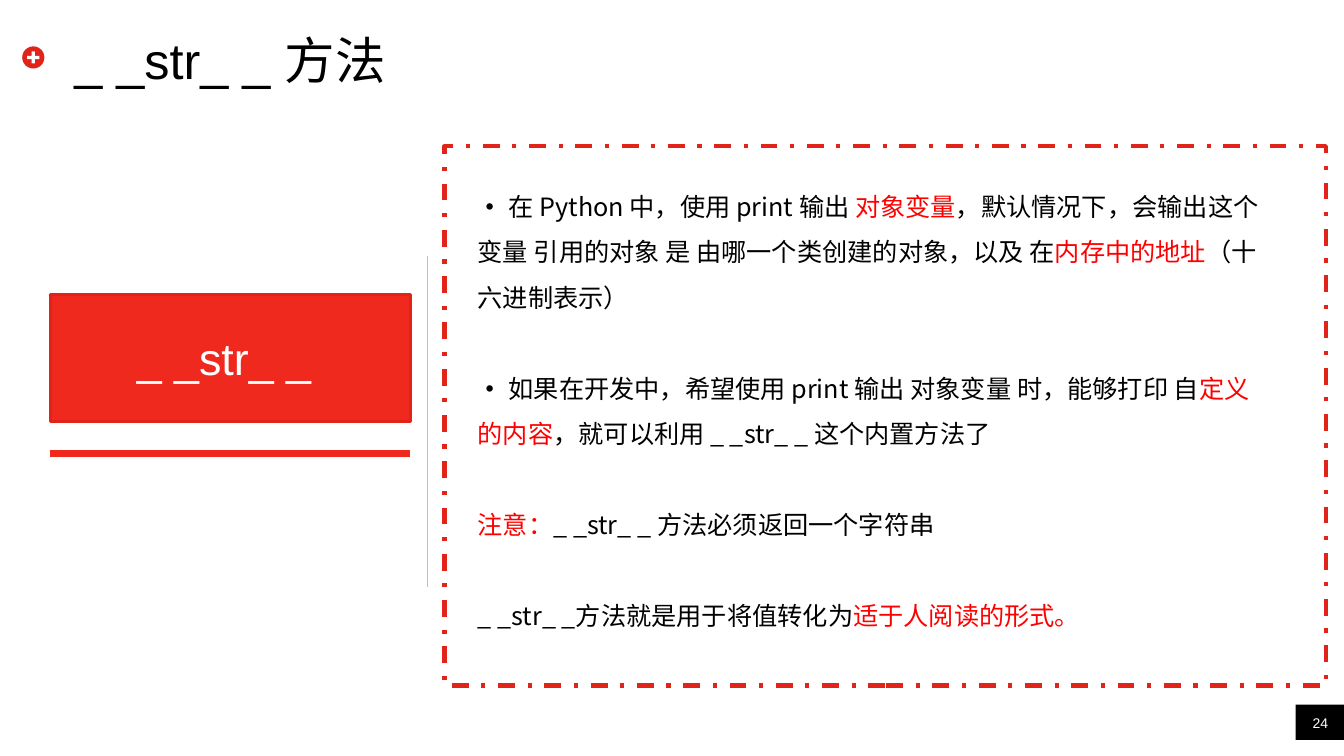
from pptx import Presentation
from pptx.dml.color import RGBColor
from pptx.enum.dml import MSO_LINE_DASH_STYLE as Dash
from pptx.enum.shapes import MSO_CONNECTOR as Connector, MSO_SHAPE as Preset
from pptx.enum.text import MSO_ANCHOR as Anchor, PP_ALIGN as Align
from pptx.oxml.ns import qn
from pptx.util import Inches, Pt

COLORS = {
    "black": "000000",
    "white": "FFFFFF",
    "accent": "E2231A",
    "banner": "F0291F",
    "highlight": "FF0000",
    "divider": "C4BEB6",
}
LATIN, CHINESE = "Arial", "Noto Sans CJK SC"

# Each paragraph is a list of (text, format) runs.
BULLET = ("· ", {"bold": True})
RED = {"color": "highlight"}
EXPLANATION = [
    [
        BULLET,
        ("在 Python 中，使用 print 输出", {}),
        (" 对象变量", RED),
        ("，默认情况下，会输出这个变量 引用的对象 是 由哪一个类创建的对象，以及 在", {}),
        ("内存中的地址", RED),
        ("（十六进制表示）", {}),
    ],
    [
        BULLET,
        ("如果在开发中，希望使用 print 输出 对象变量 时，能够打印 自", {}),
        ("定义的内容", RED),
        ("，就可以利用 _ _str_ _ 这个内置方法了", {}),
    ],
    [("注意：", RED), ("_ _str_ _ 方法必须返回一个字符串", {})],
    [("_ _str_ _方法就是用于将值转化为", {}), ("适于人阅读的形式。", RED)],
]


def rgb(name):
    return RGBColor.from_string(COLORS[name])


def set_attributes(target, values):
    for name, value in values.items():
        setattr(target, name, value)


class SlideBuilder:
    def __init__(self, slide):
        self.slide = slide

    def style_line(self, line, color, width, dash=None):
        line.color.rgb = rgb(color)
        line.width = Pt(width)
        if dash:
            line.dash_style = dash

    def shape(self, preset, box, fill=None, line=None):
        """Add a preset shape; line is (color, width[, dash])."""
        shape = self.slide.shapes.add_shape(preset, *map(Inches, box))
        shape.shadow.inherit = False
        if fill:
            shape.fill.solid()
            shape.fill.fore_color.rgb = rgb(fill)
        else:
            shape.fill.background()
        if line:
            self.style_line(shape.line, *line)
        else:
            shape.line.fill.background()
        return shape

    def line(self, start, end, color, width):
        connector = self.slide.shapes.add_connector(
            Connector.STRAIGHT, *map(Inches, start + end))
        self.style_line(connector.line, color, width)
        properties = connector._element.spPr
        properties.append(properties.makeelement(qn("a:effectLst"), {}))

    def text_box(self, box, paragraphs, inset=None, **style):
        shape = self.slide.shapes.add_textbox(*map(Inches, box))
        if inset is not None:
            margins = ("margin_left", "margin_top", "margin_right", "margin_bottom")
            set_attributes(shape.text_frame, dict.fromkeys(margins, Inches(inset)))
        self.fill_text(shape, paragraphs, **style)

    def fill_text(self, shape, paragraphs, size, font=LATIN, color="black",
                  anchor=Anchor.TOP, align=Align.LEFT, spacing=None, gap=0):
        """Fill a shape with paragraphs of runs, gap points apart."""
        frame = shape.text_frame
        set_attributes(frame, {"word_wrap": True, "vertical_anchor": anchor})
        for index, runs in enumerate(paragraphs):
            paragraph = frame.add_paragraph() if index else frame.paragraphs[0]
            set_attributes(paragraph, {"alignment": align, "line_spacing": spacing})
            if index and gap:
                paragraph.space_before = Pt(gap)
            for text, run_format in runs:
                run = paragraph.add_run()
                run.text = text
                set_attributes(run.font, {
                    "name": font,
                    "size": Pt(size),
                    "bold": run_format.get("bold", False),
                })
                run.font.color.rgb = rgb(run_format.get("color", color))
                properties = run._r.get_or_add_rPr()
                east_asian = properties.makeelement(
                    qn("a:ea"), {"typeface": CHINESE})
                properties.find(qn("a:latin")).addnext(east_asian)


def main():
    presentation = Presentation()
    set_attributes(presentation, {
        "slide_width": Inches(13.33), "slide_height": Inches(7.5)})
    builder = SlideBuilder(
        presentation.slides.add_slide(presentation.slide_layouts[6]))

    # Page number
    builder.shape(Preset.RECTANGLE, (12.85, 6.99, 0.48, 0.35), "black")
    builder.text_box((12.85, 6.99, 0.49, 0.27), [[("24", {})]], inset=0, size=10,
                     color="white", anchor=Anchor.BOTTOM, align=Align.CENTER)

    # Title with its plus icon
    builder.shape(Preset.OVAL, (0.22, 0.46, 0.22, 0.22), "accent")
    plus = builder.shape(Preset.CROSS, (0.27, 0.51, 0.12, 0.12), "white")
    plus.adjustments[0] = 0.37
    builder.text_box((0.6, 0.3, 12.11, 0.57), [[(" _ _str_ _ 方法", {})]],
                     inset=0, size=36, anchor=Anchor.MIDDLE)

    # Method name
    banner = builder.shape(Preset.RECTANGLE, (0.5, 2.92, 3.57, 1.26),
                           "banner", ("accent", 2))
    builder.fill_text(banner, [[("_ _str_ _ ", {})]], size=32, color="white",
                      anchor=Anchor.MIDDLE, align=Align.CENTER)
    builder.line((0.5, 4.5), (4.07, 4.5), "banner", 4.5)
    builder.line((4.24, 2.54), (4.24, 5.82), "divider", 0.75)

    # Explanation
    builder.text_box((4.64, 1.7, 8.01, 4.64), EXPLANATION, size=18, font=CHINESE,
                     spacing=1.5, gap=32.5)
    builder.shape(Preset.RECTANGLE, (4.41, 1.45, 8.74, 5.35),
                  line=("accent", 3, Dash.DASH_DOT))

    presentation.save("out.pptx")


if __name__ == "__main__":
    main()
